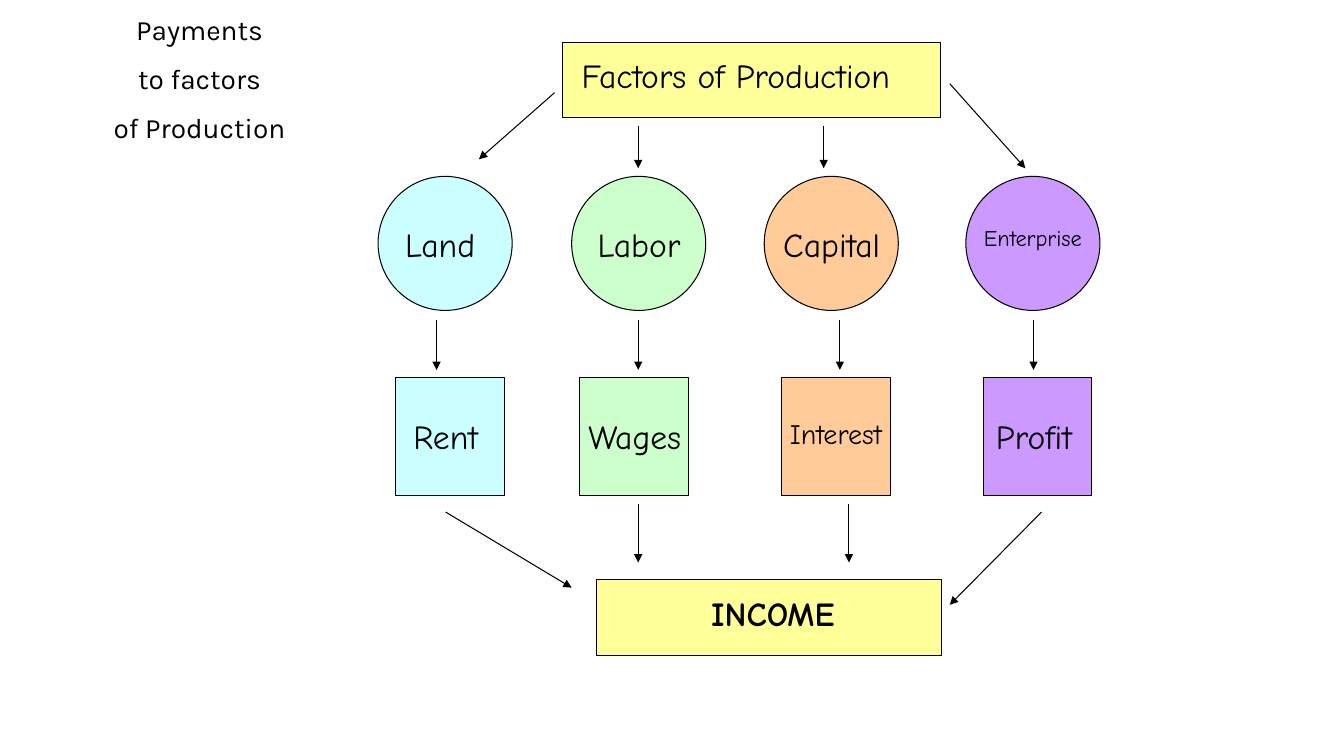
"""Build a slide showing the payments made to the factors of production."""
from dataclasses import dataclass

from pptx import Presentation
from pptx import util as u
from pptx.dml import color as c
from pptx.enum import shapes, text
from pptx.oxml import ns, xmlchemy as x

COLORS = {
    "ink": "000000",
    "yellow": "FFFF99",
    "cyan": "CCFFFF",
    "green": "CCFFCC",
    "orange": "FFCC99",
    "purple": "CC99FF",
}
LEFT, CENTER = text.PP_ALIGN.LEFT, text.PP_ALIGN.CENTER
RECT, OVAL = shapes.MSO_SHAPE.RECTANGLE, shapes.MSO_SHAPE.OVAL


@dataclass
class Label:
    text: str
    left: float
    top: float
    width: float
    height: float = 0.5
    size: int = 24
    align: int = CENTER
    font: str = "Comic Neue"
    bold: bool = False


@dataclass
class Node:
    kind: int
    color: str
    left: float
    top: float
    width: float
    height: float
    label: Label


@dataclass
class Factor:
    color: str
    circle_left: float
    square_left: float
    name: Label
    payment: Label

    def nodes(self) -> list[Node]:
        return [
            Node(OVAL, self.color, self.circle_left, 1.75, 1.33, 1.33, self.name),
            Node(RECT, self.color, self.square_left, 3.75, 1.08, 1.17, self.payment),
        ]


@dataclass
class Arrow:
    x1: float
    y1: float
    x2: float
    y2: float


NAME_TOP, PAYMENT_TOP = 2.17, 4.08
FACTORS = [
    Factor("cyan", 3.75, 3.92,
           Label("Land", 3.92, NAME_TOP, 1, align=LEFT),
           Label("Rent", 3.92, PAYMENT_TOP, 1)),
    Factor("green", 5.67, 5.75,
           Label("Labor", 5.83, NAME_TOP, 1.17, align=LEFT),
           Label("Wages", 5.67, PAYMENT_TOP, 1.25)),
    Factor("orange", 7.58, 7.75,
           Label("Capital", 7.67, NAME_TOP, 1.33, align=LEFT),
           Label("Interest", 7.58, PAYMENT_TOP, 1.42, 0.43, 20)),
    Factor("purple", 9.58, 9.75,
           Label("Enterprise", 9.58, NAME_TOP, 1.33, 0.37, 16),
           Label("Profit", 9.67, PAYMENT_TOP, 1.17)),
]
SOURCE = Node(RECT, "yellow", 5.58, 0.42, 3.75, 0.75,
              Label("Factors of Production", 5.67, 0.5, 3.83, align=LEFT))
INCOME = Node(RECT, "yellow", 5.92, 5.75, 3.42, 0.75,
              Label("INCOME", 6, 5.83, 3.33, bold=True))
TITLE = Label("Payments\nto factors\nof Production", 0.46, 0.07, 3.04, 1.45, 20,
              font="Karla")
ARROWS = [
    Arrow(5.5, 0.92, 4.75, 1.58),
    *(Arrow(left, 1.25, left, 1.67) for left in (6.33, 8.17)),
    Arrow(9.42, 0.83, 10.17, 1.67),
    *(Arrow(left, 3.17, left, 3.67) for left in (4.33, 6.33, 8.33, 10.25)),
    Arrow(4.42, 5.08, 5.67, 5.83),
    *(Arrow(left, 5, left, 5.58) for left in (6.33, 8.42)),
    Arrow(10.33, 5.08, 9.42, 6),
]


def rgb(name: str) -> c.RGBColor:
    return c.RGBColor.from_string(COLORS[name])


def apply(target: object, formats: dict) -> None:
    for name, value in formats.items():
        setattr(target, name, value)


def ink_line(line) -> None:
    line.color.rgb = rgb("ink")
    line.width = u.Pt(0.75)


def draw_label(s, label: Label) -> None:
    box = (label.left, label.top, label.width, label.height)
    tf = s.shapes.add_textbox(*map(u.Inches, box)).text_frame
    apply(tf, {"word_wrap": True, "auto_size": text.MSO_AUTO_SIZE.SHAPE_TO_FIT_TEXT})
    for i, words in enumerate(label.text.split("\n")):
        p = tf.add_paragraph() if i else tf.paragraphs[0]
        apply(p, {"alignment": label.align, "space_before": u.Pt(11 if i else 0)})
        r = p.add_run()
        r.text = words
        apply(r.font, {"name": label.font, "size": u.Pt(label.size), "bold": label.bold})
        r.font.color.rgb = rgb("ink")


def draw_node(s, node: Node) -> None:
    box = (node.left, node.top, node.width, node.height)
    sp = s.shapes.add_shape(node.kind, *map(u.Inches, box))
    sp.shadow.inherit = False
    sp.fill.solid()
    sp.fill.fore_color.rgb = rgb(node.color)
    ink_line(sp.line)
    draw_label(s, node.label)


def draw_arrow(s, arrow: Arrow) -> None:
    ends = (arrow.x1, arrow.y1, arrow.x2, arrow.y2)
    sp = s.shapes.add_connector(shapes.MSO_CONNECTOR.STRAIGHT, *map(u.Inches, ends))
    ink_line(sp.line)
    tail = x.OxmlElement("a:tailEnd")
    tail.set("type", "triangle")
    props = sp._element.spPr
    props.find(ns.qn("a:ln")).append(tail)
    props.append(x.OxmlElement("a:effectLst"))


def main() -> None:
    prs = Presentation()
    apply(prs, {"slide_width": u.Inches(13.33), "slide_height": u.Inches(7.5)})
    s = prs.slides.add_slide(prs.slide_layouts[6])
    factor_nodes = [node for factor in FACTORS for node in factor.nodes()]
    for node in [SOURCE, *factor_nodes, INCOME]:
        draw_node(s, node)
    for arrow in ARROWS:
        draw_arrow(s, arrow)
    draw_label(s, TITLE)
    prs.save("out.pptx")


main()
